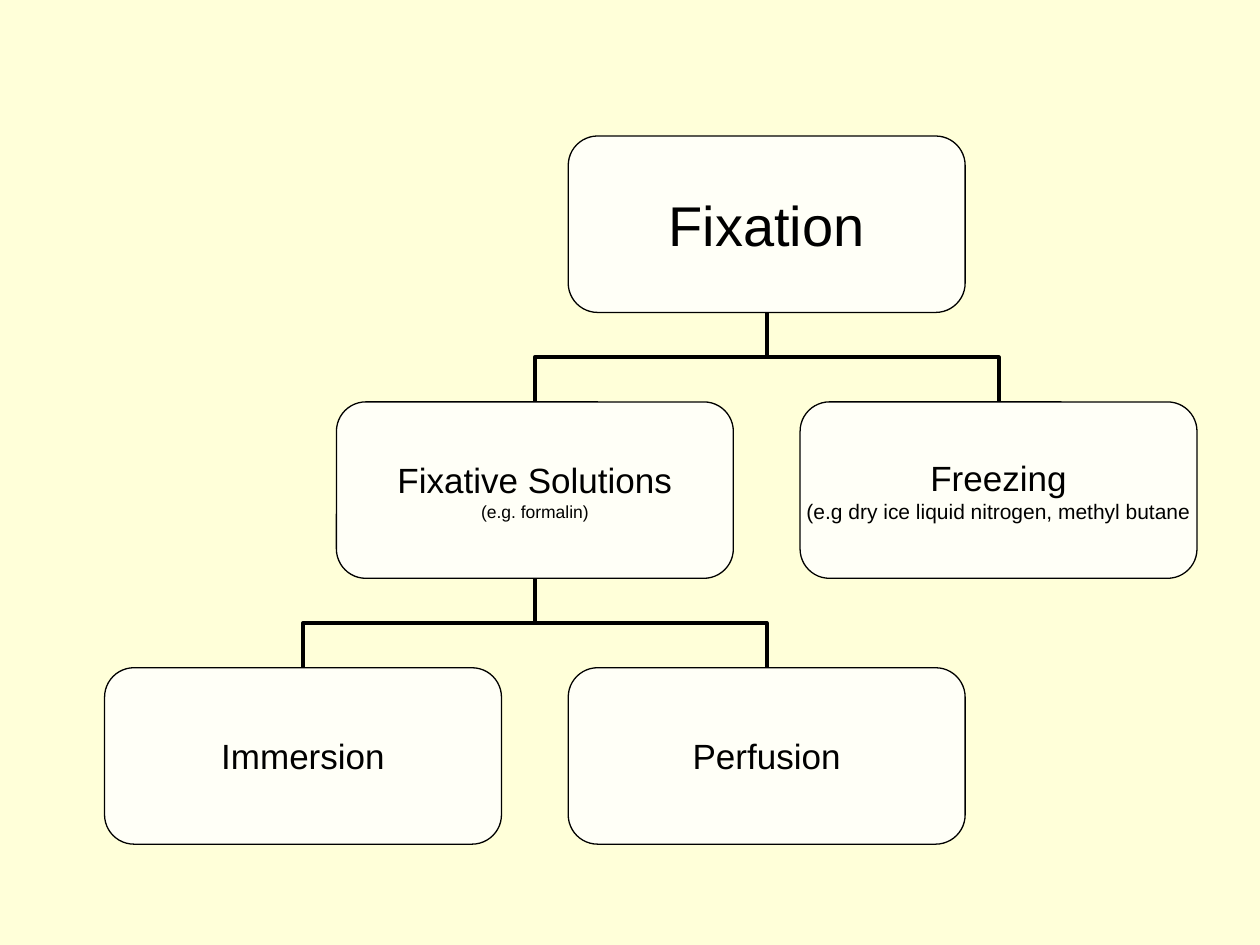
from dataclasses import dataclass

from pptx import Presentation
from pptx import util as u
from pptx.dml.color import RGBColor
from pptx.enum import shapes, text
from pptx.oxml import ns
from lxml import etree


@dataclass(frozen=True)
class Theme:
    background: RGBColor = RGBColor(0xFF, 0xFF, 0xD9)
    box_fill: RGBColor = RGBColor(0xFF, 0xFF, 0xF7)
    ink: RGBColor = RGBColor(0, 0, 0)
    font: str = "Arial"
    root_size: int = 32
    node_size: int = 20
    note_size: int = 12
    small_note_size: int = 10
    box_line: float = 0.75
    link_line: float = 2.25


THEME = Theme()
LEFT, TOP = 0.83, 1.08
COLUMN_STEP, ROW_STEP = 1.84, 2.11
BOX_WIDTH, BOX_HEIGHT = 3.15, 1.4

# name: (column, row, [(text, size), ...])
NODES = {
    "fixation": (2, 0, [("Fixation", THEME.root_size)]),
    "solutions": (1, 1, [("Fixative Solutions", THEME.node_size),
                         ("(e.g. formalin)", THEME.small_note_size)]),
    "freezing": (3, 1, [("Freezing", THEME.node_size),
                        ("(e.g dry ice liquid nitrogen, methyl butane", THEME.note_size)]),
    "immersion": (0, 2, [("Immersion", THEME.node_size)]),
    "perfusion": (2, 2, [("Perfusion", THEME.node_size)]),
}
LINKS = [("solutions", "perfusion"), ("solutions", "immersion"),
         ("fixation", "freezing"), ("fixation", "solutions")]


def set_attributes(target, values):
    for name, value in values.items():
        setattr(target, name, value)


def box_corner(name):
    column, row, _ = NODES[name]
    return LEFT + column * COLUMN_STEP, TOP + row * ROW_STEP


def add_node(slide, name):
    left, top = box_corner(name)
    box = slide.shapes.add_shape(
        shapes.MSO_SHAPE.ROUNDED_RECTANGLE,
        *map(u.Inches, (left, top, BOX_WIDTH, BOX_HEIGHT)))
    box.shadow.inherit = False
    box.fill.solid()
    box.fill.fore_color.rgb = THEME.box_fill
    box.line.color.rgb = THEME.ink
    box.line.width = u.Pt(THEME.box_line)

    frame = box.text_frame
    set_attributes(frame, {
        "word_wrap": False, "vertical_anchor": text.MSO_ANCHOR.MIDDLE,
        "margin_left": 0, "margin_right": 0, "margin_top": 0, "margin_bottom": 0})
    for index, (words, size) in enumerate(NODES[name][2]):
        para = frame.add_paragraph() if index else frame.paragraphs[0]
        para.alignment = text.PP_ALIGN.CENTER
        span = para.add_run()
        span.text = words
        set_attributes(span.font, {"name": THEME.font, "size": u.Pt(size)})
        span.font.color.rgb = THEME.ink


def add_link(slide, parent, child):
    """Draw an elbow from the child's top to the parent's bottom.

    An elbow starts sideways, so it is laid flat and turned by 270 degrees.
    """
    parent_left, parent_top = box_corner(parent)
    child_left, child_top = box_corner(child)
    parent_bottom = parent_top + BOX_HEIGHT
    middle_x = (parent_left + child_left + BOX_WIDTH) / 2
    middle_y = (parent_bottom + child_top) / 2
    half_drop = (child_top - parent_bottom) / 2
    half_shift = (child_left - parent_left) / 2

    link = slide.shapes.add_connector(
        shapes.MSO_CONNECTOR.ELBOW,
        *map(u.Inches, (middle_x - half_drop, middle_y + half_shift,
                        middle_x + half_drop, middle_y - half_shift)))
    link.rotation = 270
    link.line.color.rgb = THEME.ink
    link.line.width = u.Pt(THEME.link_line)
    etree.SubElement(link._element.spPr, ns.qn("a:effectLst"))


def main():
    deck = Presentation()
    set_attributes(deck, {"slide_width": u.Inches(10), "slide_height": u.Inches(7.5)})
    slide = deck.slides.add_slide(deck.slide_layouts[6])
    slide.background.fill.solid()
    slide.background.fill.fore_color.rgb = THEME.background
    for parent, child in LINKS:
        add_link(slide, parent, child)
    for name in NODES:
        add_node(slide, name)
    deck.save("out.pptx")


if __name__ == "__main__":
    main()
